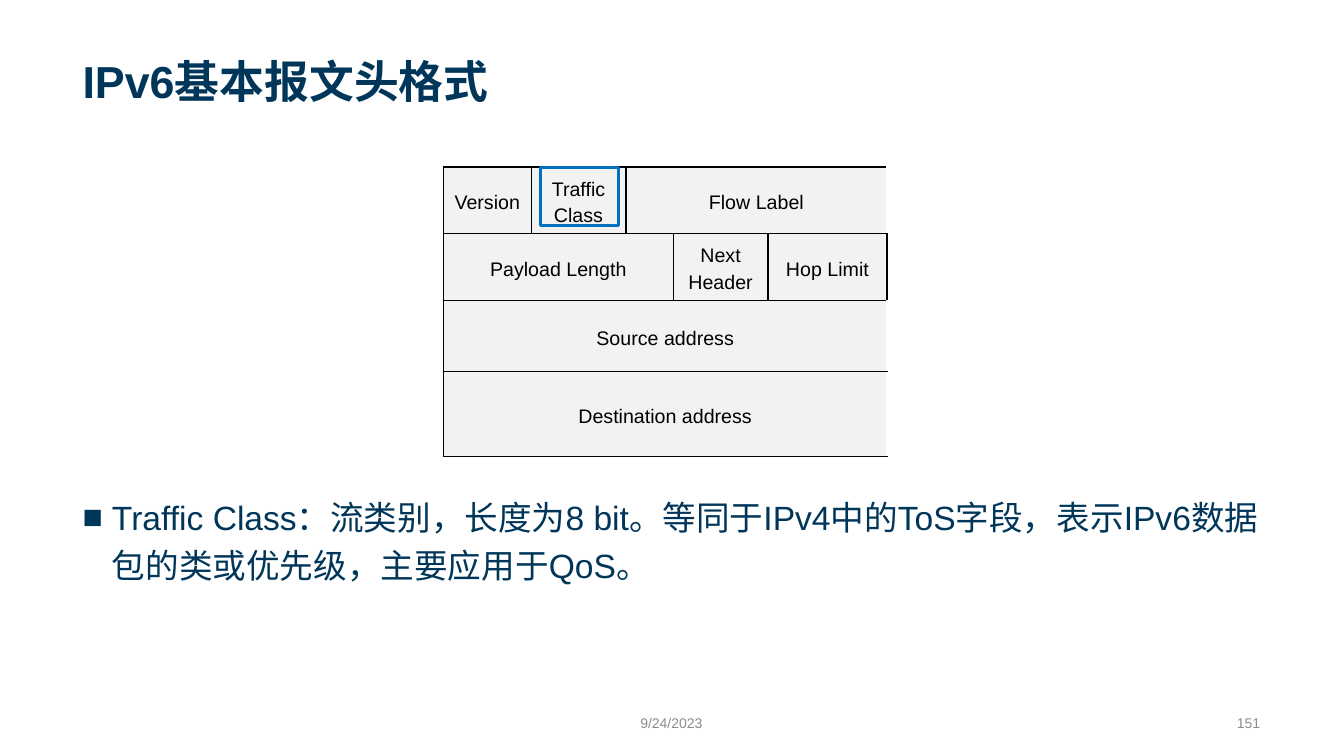
from lxml.etree import SubElement as Sub
from pptx import Presentation
from pptx.dml.color import RGBColor as RGB
from pptx.enum.shapes import MSO_SHAPE as SHAPE
from pptx.enum.text import MSO_ANCHOR as ANCHOR, PP_ALIGN as ALIGN
from pptx.oxml.ns import qn
from pptx.util import Pt

NAVY, GREY, BLACK = "003659", "8C8C8C", "000000"
COLS = [62.6, 67.7, 33.8, 67.7, 85]
ROWS = [41, 46, 51, 60.5]
FIELDS = [
    [("Version", 1), ("Traffic Class", 1), ("Flow Label", 3)],
    [("Payload Length", 3), ("Next Header", 1), ("Hop Limit", 1)],
    [("Source address", 5)],
    [("Destination address", 5)],
]


def paint(color, code):
    color.rgb = RGB.from_string(code)


def apply(item, form):
    for key, value in form.items():
        setattr(item, key, value)


def write(frame, text, size, code, align, bold=False):
    para = frame.paragraphs[0]
    para.text = text
    apply(para, {"alignment": align, "line_spacing": 1.2, "space_before": Pt(0)})
    apply(para.font, {"name": "Arial", "size": Pt(size), "bold": bold})
    paint(para.font.color, code)


def place(shape, left, top, width, height):
    apply(shape, {"left": Pt(left), "top": Pt(top),
                  "width": Pt(width), "height": Pt(height)})


def bullet(para):
    props = para._p.get_or_add_pPr()
    props.set("marL", str(Pt(21)))
    props.set("indent", str(Pt(-21)))
    Sub(props, qn("a:buChar"), char="■")


def label(slide, left, width, text, align):
    box = slide.shapes.add_textbox(Pt(left), Pt(504.7), Pt(width), Pt(21.6))
    apply(box.text_frame, {"word_wrap": True, "vertical_anchor": ANCHOR.MIDDLE})
    write(box.text_frame, text, 10, GREY, align)


def edge(cell, side, width):
    line = Sub(cell._tc.get_or_add_tcPr(), qn("a:ln" + side), w=str(Pt(width)))
    fill = Sub(line, qn("a:solidFill"))
    Sub(fill, qn("a:srgbClr"), val=BLACK)


def field(table, row, col, span, text):
    last = col + span - 1
    for pos in range(col, last + 1):
        cell = table.cell(row, pos)
        if pos == col:
            edge(cell, "L", 1.5 if col == 0 else 1)
        if pos == last:
            edge(cell, "R", 1.5 if last == len(COLS) - 1 else 1)
        edge(cell, "T", 1.5 if row == 0 else 1)
        edge(cell, "B", 1.5 if row == len(ROWS) - 1 else 1)
        cell.fill.solid()
        paint(cell.fill.fore_color, "F2F2F2")
    head = table.cell(row, col)
    if span > 1:
        head.merge(table.cell(row, last))
    head.vertical_anchor = ANCHOR.MIDDLE
    write(head.text_frame, text, 14, BLACK, ALIGN.CENTER)


def header(slide):
    table = slide.shapes.add_table(
        len(ROWS), len(COLS), Pt(316.8), Pt(119.5),
        Pt(sum(COLS)), Pt(sum(ROWS))).table
    apply(table, {"first_row": False, "horz_banding": False})
    for col, width in zip(table.columns, COLS):
        col.width = Pt(width)
    for row, height in zip(table.rows, ROWS):
        row.height = Pt(height)
    for row, fields in enumerate(FIELDS):
        col = 0
        for text, span in fields:
            field(table, row, col, span, text)
            col += span


def frame(slide):
    mark = slide.shapes.add_shape(
        SHAPE.FLOWCHART_PROCESS, Pt(385.9), Pt(119.5), Pt(55.6), Pt(41.4))
    mark.shadow.inherit = False
    mark.fill.background()
    paint(mark.line.color, "0070C0")
    mark.line.width = Pt(2.25)


def main():
    deck = Presentation()
    apply(deck, {"slide_width": Pt(960), "slide_height": Pt(540)})
    slide = deck.slides.add_slide(deck.slide_layouts[1])
    title, body = slide.placeholders
    place(title, 51.8, 10.1, 855.4, 70.6)
    title.text_frame.vertical_anchor = ANCHOR.BOTTOM
    write(title.text_frame, "IPv6基本报文头格式", 32, NAVY, ALIGN.LEFT, True)
    place(body, 51.8, 345.6, 855.4, 137.5)
    bullet(body.text_frame.paragraphs[0])
    write(body.text_frame,
          "Traffic Class：流类别，长度为8 bit。等同于IPv4中的ToS字段，"
          "表示IPv6数据包的类或优先级，主要应用于QoS。", 24, NAVY, ALIGN.LEFT)
    label(slide, 371.5, 216, "9/24/2023", ALIGN.CENTER)
    label(slide, 612, 295.2, "151", ALIGN.RIGHT)
    header(slide)
    frame(slide)
    deck.save("out.pptx")


if __name__ == "__main__":
    main()
